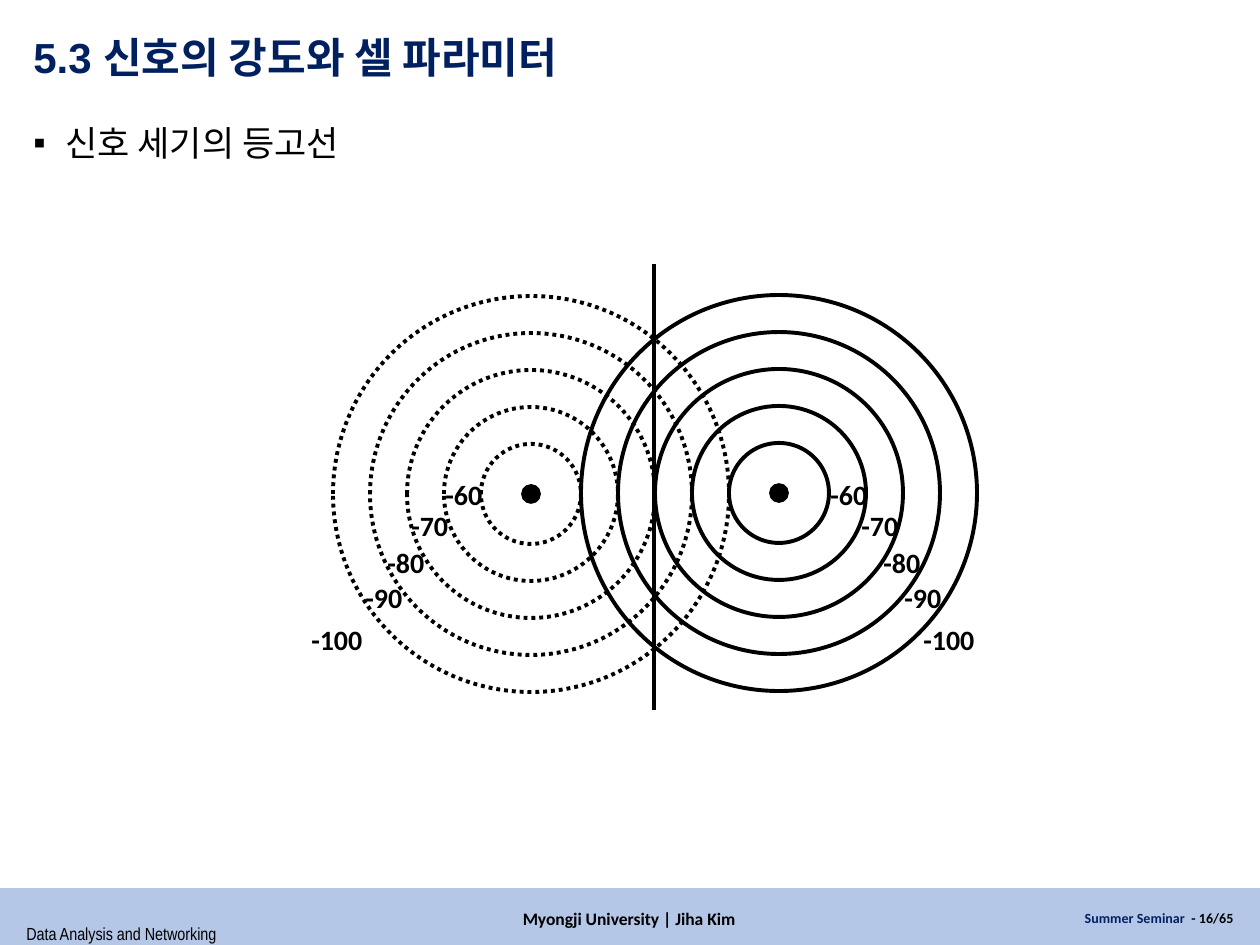
from lxml import etree
from pptx import Presentation
from pptx.dml.color import RGBColor
from pptx.enum.dml import MSO_LINE
from pptx.enum.shapes import MSO_CONNECTOR, MSO_SHAPE
from pptx.enum.text import MSO_ANCHOR, MSO_AUTO_SIZE, PP_ALIGN
from pptx.oxml.ns import qn
from pptx.util import Emu, Pt

RECT, OVAL = MSO_SHAPE.RECTANGLE, MSO_SHAPE.OVAL
STRAIGHT = MSO_CONNECTOR.STRAIGHT
DOTTED, SOLID = MSO_LINE.ROUND_DOT, MSO_LINE.SOLID
TOP, MIDDLE = MSO_ANCHOR.TOP, MSO_ANCHOR.MIDDLE
LEFT, CENTER, RIGHT = PP_ALIGN.LEFT, PP_ALIGN.CENTER, PP_ALIGN.RIGHT
GROW, FIXED = MSO_AUTO_SIZE.SHAPE_TO_FIT_TEXT, MSO_AUTO_SIZE.NONE
PX_PER_INCH = 126


class Theme:
    black = RGBColor.from_string("000000")
    navy = RGBColor.from_string("002060")
    band = RGBColor.from_string("B4C7E7")
    title = {"name": "Arial", "size": Pt(24), "bold": True}
    body = {"name": "Arial", "size": Pt(20)}
    course = {"name": "Arial Narrow", "size": Pt(10)}
    footer = {"name": "Calibri", "size": Pt(10), "bold": True}
    page = {"name": "Calibri", "size": Pt(8), "bold": True}
    label = {"name": "Calibri", "size": Pt(16), "bold": True}
    thin, thick = Pt(1), Pt(2.25)


def px(length):
    return Emu(round(length * 914400 / PX_PER_INCH))


class SlideBuilder:
    def __init__(self, slide, theme):
        self.slide = slide
        self.theme = theme

    def shape(self, kind, left, top, width, height, fill=None, weight=None, dash=SOLID):
        item = self.slide.shapes.add_shape(kind, px(left), px(top), px(width), px(height))
        item.shadow.inherit = False
        if fill is None:
            item.fill.background()
        else:
            item.fill.solid()
            item.fill.fore_color.rgb = fill
        if weight is None:
            item.line.fill.background()
        else:
            item.line.color.rgb = self.theme.black
            item.line.width = weight
            item.line.dash_style = dash

    def circle(self, center, radius, **style):
        x, y = center
        self.shape(OVAL, x - radius, y - radius, 2 * radius, 2 * radius, **style)

    def line(self, start, end):
        item = self.slide.shapes.add_connector(STRAIGHT, *map(px, start + end))
        item.line.color.rgb = self.theme.black
        item.line.width = self.theme.thick
        etree.SubElement(item._element.spPr, qn("a:effectLst"))

    def text(self, left, top, width, height, spans, font, anchor=TOP, align=LEFT,
             spacing=None, bullet=None, wrap=True, fit=FIXED):
        box = self.slide.shapes.add_textbox(px(left), px(top), px(width), px(height))
        frame = box.text_frame
        para = frame.paragraphs[0]
        frame_format = {"word_wrap": wrap, "auto_size": fit, "vertical_anchor": anchor}
        for name, value in frame_format.items():
            setattr(frame, name, value)
        if bullet:
            self.bullet(para, *bullet)
        for name, value in {"alignment": align, "line_spacing": spacing}.items():
            setattr(para, name, value)
        for words, color in spans:
            span = para.add_run()
            span.text = words
            for name, value in font.items():
                setattr(span.font, name, value)
            span.font.color.rgb = color

    def bullet(self, para, mark, indent):
        properties = para._p.get_or_add_pPr()
        properties.set("marL", str(px(indent)))
        properties.set("indent", str(-px(indent)))
        etree.SubElement(properties, qn("a:buFont"), typeface="Arial")
        etree.SubElement(properties, qn("a:buChar"), char=mark)


def main():
    theme = Theme()
    deck = Presentation()
    deck.slide_width, deck.slide_height = px(1260), px(945)
    page = SlideBuilder(deck.slides.add_slide(deck.slide_layouts[6]), theme)

    # Footer band
    page.shape(RECT, 0, 888, 1260, 57, fill=theme.band)
    page.text(14, 917, 218, 34, [("Data Analysis and Networking", theme.black)],
              theme.course, wrap=False, fit=GROW)

    # Title and bullet
    page.text(21, 24, 1223, 71, [("5.3 신호의 강도와 셀 파라미터", theme.navy)],
              theme.title, anchor=MIDDLE, spacing=0.9)
    page.text(21, 107, 1216, 772, [("신호 세기의 등고선", theme.black)],
              theme.body, spacing=1.2, bullet=("▪", 32))

    # Footer texts
    page.text(416, 902, 426, 32, [("Myongji University | Jiha Kim", theme.black)],
              theme.footer, anchor=MIDDLE, align=CENTER)
    page.text(892, 902, 354, 32,
              [("Summer Seminar  ", theme.navy), ("- 16/65", theme.black)],
              theme.page, anchor=MIDDLE, align=RIGHT)

    # Signal contours of both cells: evenly spaced rings around a station
    for center, dash in (((531, 494), DOTTED), ((779, 493), SOLID)):
        page.circle(center, 9, fill=theme.black, weight=theme.thin)
        for ring in range(5):
            page.circle(center, 50 + 37 * ring, weight=theme.thick, dash=dash)

    # Signal strength labels: level, left cell x, right cell x, y, width
    labels = (
        (-60, 433, 818, 471, 63),
        (-70, 399, 849, 502, 63),
        (-80, 375, 871, 539, 63),
        (-90, 353, 892, 574, 63),
        (-100, 299, 911, 616, 77),
    )
    for level, left_x, right_x, y, width in labels:
        for x in (left_x, right_x):
            page.text(x, y, width, 47, [(str(level), theme.black)], theme.label,
                      wrap=False, fit=GROW)

    # Cell boundary
    page.line((654, 264), (654, 710))

    deck.save("out.pptx")


if __name__ == "__main__":
    main()
